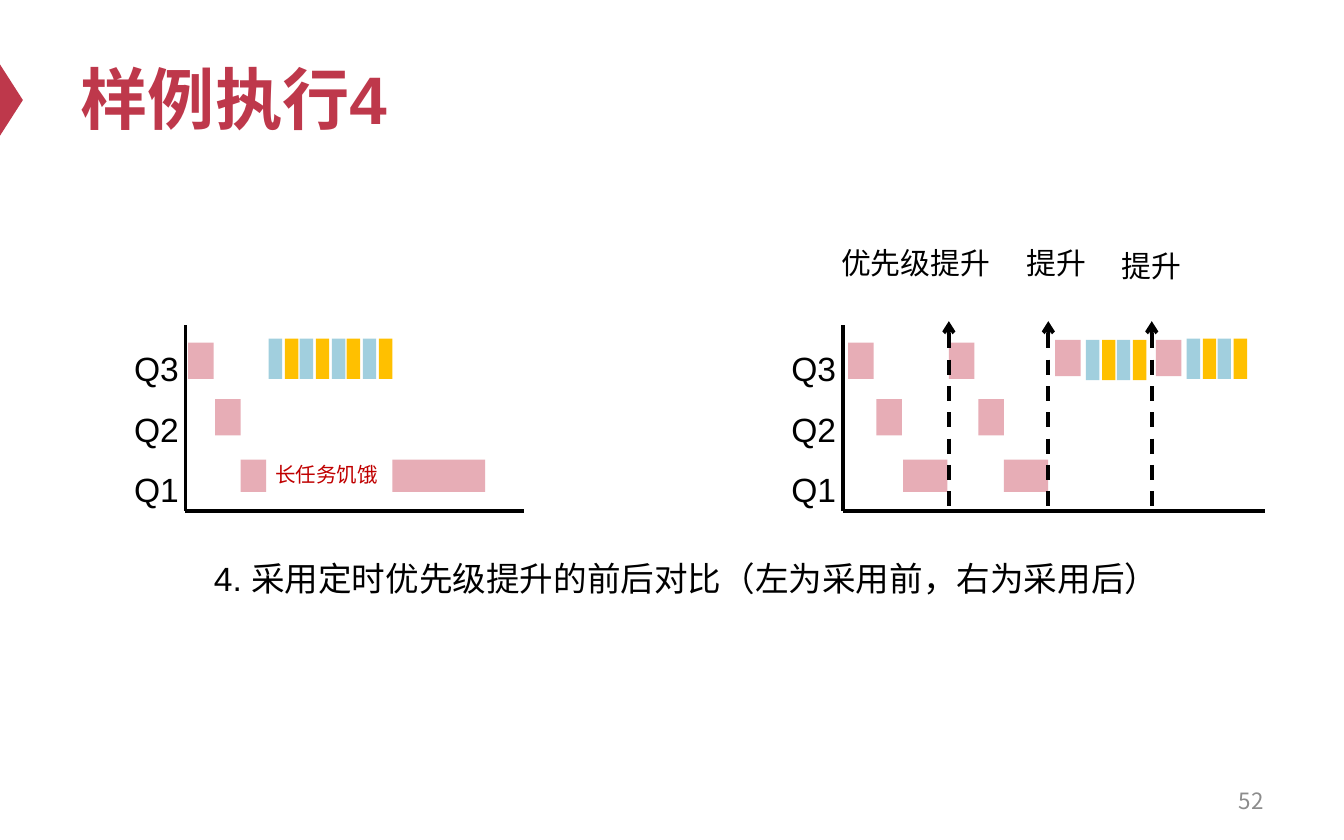
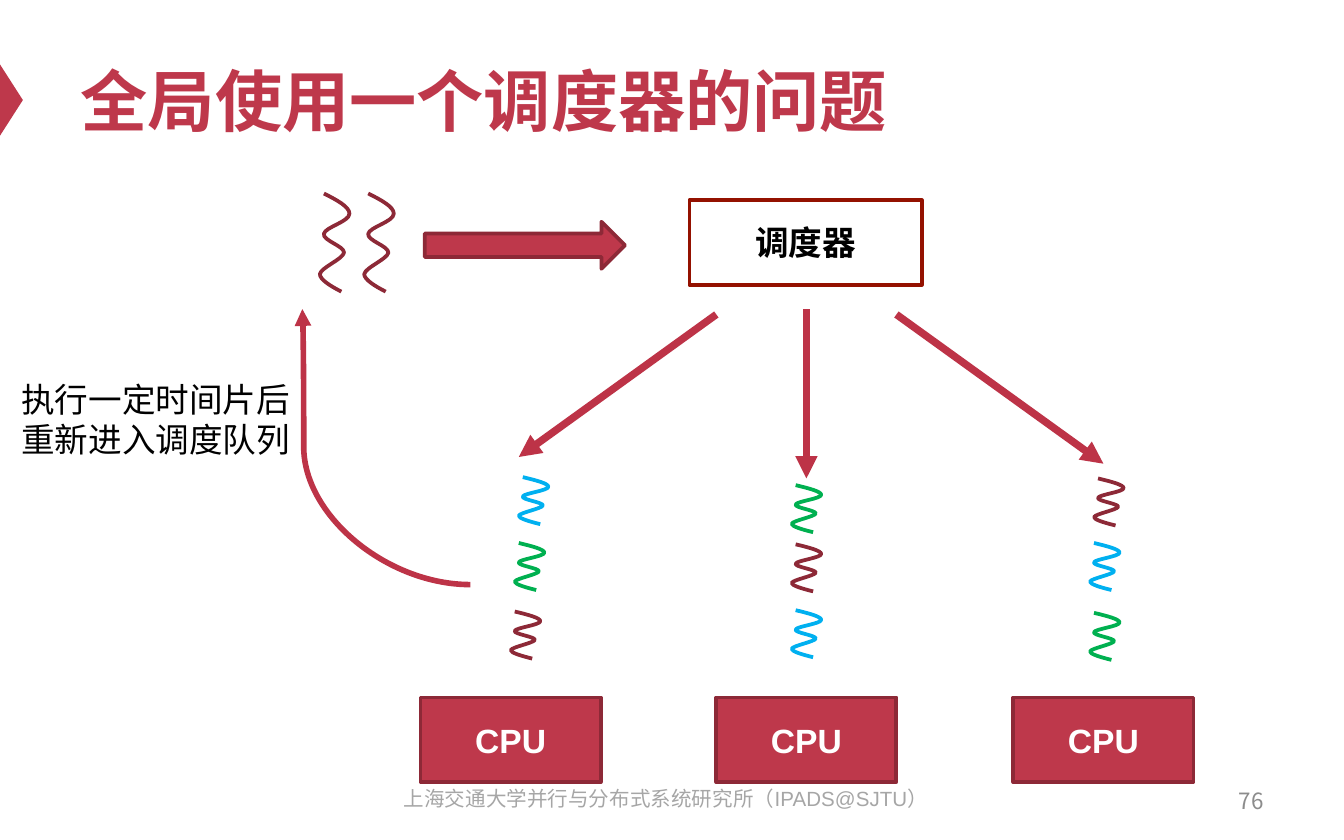
from dataclasses import dataclass

from lxml import etree
from pptx import Presentation
from pptx.dml.color import RGBColor
from pptx.enum.dml import MSO_LINE
from pptx.enum.shapes import MSO_CONNECTOR, MSO_SHAPE
from pptx.enum.text import MSO_ANCHOR, MSO_AUTO_SIZE, PP_ALIGN
from pptx.oxml.ns import qn
from pptx.util import Pt

RECT, TRIANGLE, RIGHT_ARROW = MSO_SHAPE.RECTANGLE, MSO_SHAPE.ISOSCELES_TRIANGLE, MSO_SHAPE.RIGHT_ARROW
STRAIGHT, CURVE = MSO_CONNECTOR.STRAIGHT, MSO_CONNECTOR.CURVE
LEFT, CENTER, RIGHT = PP_ALIGN.LEFT, PP_ALIGN.CENTER, PP_ALIGN.RIGHT
TOP, MIDDLE = MSO_ANCHOR.TOP, MSO_ANCHOR.MIDDLE

EMU_PER_PX = 9144  # 100 px to the inch
TITLE_ONLY = 5


@dataclass(frozen=True)
class Theme:
    font: str = "Arial"
    cjk_font: str = "Noto Sans CJK SC"
    red: str = "BE384B"
    arrow_red: str = "BD3347"
    dark_red: str = "8D2937"
    frame_red: str = "941100"
    warning: str = "C00000"
    pink: str = "E7ADB6"
    pale_blue: str = "A1CFDE"
    gold: str = "FFC000"
    blue: str = "00B0F0"
    green: str = "00B050"
    black: str = "000000"
    white: str = "FFFFFF"
    page_grey: str = "8C8C8C"
    footer_grey: str = "A6A6A6"
    title_size: int = 36
    body_size: int = 18
    label_size: int = 16
    page_size: int = 12
    small_size: int = 11


THEME = Theme()

# Timeline rows: top inside the plot and bar height
ROWS = {"Q3": (13, 27), "Q3 boosted": (11, 27), "Q2": (55, 27), "Q1": (100, 24)}
SHORT_TASK_PITCH = 11.7

# Thread curve in a 22 x 73 box: two control points and a knot per bend
THREAD_START = (3, 0)
THREAD_BENDS = [
    ((13, 5), (22, 10), (22, 15)),
    ((22, 21), (4, 25), (3, 30)),
    ((2, 35), (18, 39), (18, 44)),
    ((17, 49), (1, 55), (0, 60)),
    ((0, 64), (8, 69), (16, 73)),
]
THREAD_HEIGHT = 73


def px(*lengths):
    return [round(length * EMU_PER_PX) for length in lengths]


def rgb(color):
    return RGBColor.from_string(color)


# Basic parts
def write(frame, lines, size, color, bold=False, align=LEFT, anchor=TOP,
          spacing=None, font=THEME.font):
    frame.word_wrap = True
    frame.vertical_anchor = anchor
    frame.text = "\n".join(lines)
    for paragraph in frame.paragraphs:
        paragraph.alignment = align
        if spacing:
            paragraph.line_spacing = spacing
        paragraph.font.size = Pt(size)
        paragraph.font.bold = bold
        paragraph.font.color.rgb = rgb(color)
        paragraph.font.name = font
        etree.SubElement(paragraph.font._rPr, qn("a:ea"), typeface=THEME.cjk_font)


def add_text(slide, box, lines, size, color=THEME.black, grow=False, **style):
    frame = slide.shapes.add_textbox(*px(*box)).text_frame
    write(frame, lines, size, color, **style)
    if grow:
        frame.auto_size = MSO_AUTO_SIZE.SHAPE_TO_FIT_TEXT


def add_block(slide, kind, box, fill, outline=None):
    block = slide.shapes.add_shape(kind, *px(*box))
    block.shadow.inherit = False
    block.fill.solid()
    block.fill.fore_color.rgb = rgb(fill)
    if outline:
        block.line.color.rgb = rgb(outline)
        block.line.width = Pt(2)
    else:
        block.line.fill.background()
    return block


def add_line(slide, start, end, color, width, kind=STRAIGHT, dash=None, **arrowheads):
    connector = slide.shapes.add_connector(kind, *px(*start, *end))
    connector.line.color.rgb = rgb(color)
    connector.line.width = Pt(width)
    if dash:
        connector.line.dash_style = dash
    outline = connector.line._get_or_add_ln()
    for side, arrowhead in arrowheads.items():
        etree.SubElement(outline, qn(f"a:{side}"), type=arrowhead)
    etree.SubElement(connector.element.spPr, qn("a:effectLst"))
    return connector


def add_thread(slide, left, top, height, color):
    scale = (EMU_PER_PX, EMU_PER_PX * height / THREAD_HEIGHT)
    outline = slide.shapes.build_freeform(*THREAD_START, scale=scale)
    outline.add_line_segments([knot for _, _, knot in THREAD_BENDS], close=False)
    thread = outline.convert_to_shape(*px(left, top))
    # Turn each straight segment into a Bézier bend
    segments = list(thread.element.iter(qn("a:lnTo")))
    for segment, (*controls, _) in zip(segments, THREAD_BENDS):
        segment.tag = qn("a:cubicBezTo")
        for index, (x, y) in enumerate(controls):
            segment.insert(index, etree.Element(qn("a:pt"), x=str(x), y=str(y)))
    thread.shadow.inherit = False
    thread.fill.background()
    thread.line.color.rgb = rgb(color)
    thread.line.width = Pt(2)


# Shared slide furniture
def add_master_marker(prs, slide):
    marker = add_block(slide, TRIANGLE, (-18, 66, 53, 17), THEME.red)
    marker.rotation = 90
    marker.element.nvSpPr.cNvPr.set("id", "100")
    prs.slide_master.shapes.element.append(marker.element)


def add_slide(prs, title, title_top, title_height, page):
    slide = prs.slides.add_slide(prs.slide_layouts[TITLE_ONLY])
    heading = slide.shapes.title
    heading.left, heading.top, heading.width, heading.height = px(50, title_top, 900, title_height)
    write(heading.text_frame, [title], THEME.title_size, THEME.red, bold=True, anchor=MIDDLE)
    add_text(slide, (717, 579, 233, 33), [page], THEME.page_size, THEME.page_grey,
             align=RIGHT, anchor=MIDDLE, font=THEME.cjk_font)
    return slide


# Queue timeline: axes, long-task bars and runs of short tasks
def add_timeline(slide, box, long_tasks, short_runs):
    left, top, width, height = box
    add_text(slide, (left - 48, top - 3, 60, 141), ["Q3", "Q2", "Q1"], THEME.body_size,
             spacing=1.5, grow=True)
    origin = (left, top + height)
    add_line(slide, (left, top), origin, THEME.black, 2)
    add_line(slide, origin, (left + width, top + height), THEME.black, 2)
    for row, start, length in long_tasks:
        row_top, bar_height = ROWS[row]
        add_block(slide, RECT, (left + start, top + row_top, length, bar_height), THEME.pink)
    for start, run_top, count in short_runs:
        for index in range(count):
            color = THEME.gold if index % 2 else THEME.pale_blue
            x = left + start + round(index * SHORT_TASK_PITCH)
            add_block(slide, RECT, (x, top + run_top, 10, 30), color)


def add_boosts(slide, box, boosts):
    left, top, _, height = box
    for line_x, label, label_x, label_y, label_width in boosts:
        add_line(slide, (left + line_x, top - 3), (left + line_x, top + height),
                 THEME.black, 2, dash=MSO_LINE.DASH, headEnd="arrow")
        add_text(slide, (left + label_x, top + label_y, label_width, 37), [label],
                 THEME.label_size, grow=True)


def build_boost_slide(prs):
    slide = add_slide(prs, "样例执行4", 21, 104, "52")
    add_master_marker(prs, slide)
    before, after = (138, 242, 252, 138), (627, 242, 314, 138)
    add_timeline(slide, before,
                 [("Q3", 2, 19), ("Q2", 22, 19), ("Q1", 41, 19), ("Q1", 154, 69)],
                 [(62, 10, 8)])
    add_text(slide, (195, 339, 510, 29), ["长任务饥饿"], THEME.small_size, THEME.warning, grow=True)
    add_timeline(slide, after,
                 [("Q3", 4, 19), ("Q2", 25, 19), ("Q1", 45, 33),
                  ("Q3", 79, 19), ("Q2", 101, 19), ("Q1", 120, 33),
                  ("Q3 boosted", 158, 19), ("Q3 boosted", 233, 19)],
                 [(181, 11, 4), (256, 10, 4)])
    add_boosts(slide, after, [(79, "优先级提升", -11, -65, 136),
                              (153, "提升", 127, -65, 74),
                              (230, "提升", 198, -63, 74)])
    add_text(slide, (139, 404, 743, 70), ["4. 采用定时优先级提升的前后对比（左为采用前，右为采用后）"],
             THEME.body_size, align=CENTER, spacing=1.2)


# Scheduler diagram
def add_labelled_block(slide, box, label, fill, outline, color):
    block = add_block(slide, RECT, box, fill, outline)
    write(block.text_frame, [label], THEME.body_size, color, bold=True,
          align=CENTER, anchor=MIDDLE)


def add_scheduler(slide, left, top):
    for offset in (0, 33):
        add_thread(slide, left + offset, top, THREAD_HEIGHT, THEME.dark_red)
    add_block(slide, RIGHT_ARROW, (left + 78, top + 21, 149, 35), THEME.red, THEME.dark_red)
    add_labelled_block(slide, (left + 275, top + 5, 173, 63), "调度器",
                       THEME.white, THEME.frame_red, THEME.black)


def add_cpu_column(slide, left, top, threads):
    for x, y, color in threads:
        add_thread(slide, left + x, top + y, 35, color)
    add_labelled_block(slide, (left, top + 164, 134, 63), "CPU",
                       THEME.red, THEME.dark_red, THEME.white)


def add_requeue(slide, left, top):
    loop = add_line(slide, (left + 344, top + 158), (left + 219, top - 47),
                    THEME.arrow_red, 3, kind=CURVE, tailEnd="triangle")
    geometry = loop.element.spPr.find(qn("a:prstGeom"))
    adjustments = geometry.find(qn("a:avLst"))
    etree.SubElement(adjustments, qn("a:gd"), name="adj1", fmla="val 99200")
    add_text(slide, (left, top, 249, 71), ["执行一定时间片后", "重新进入调度队列"],
             THEME.body_size, grow=True)


def build_scheduler_slide(prs):
    slide = add_slide(prs, "全局使用一个调度器的问题", 25, 98, "76")
    red, blue, green = THEME.dark_red, THEME.blue, THEME.green
    add_scheduler(slide, 238, 144)
    for cpu_end, scheduler_end in [((386, 340), (533, 234)),
                                   ((600, 356), (600, 230)),
                                   ((821, 345), (667, 234))]:
        add_line(slide, cpu_end, scheduler_end, THEME.arrow_red, 4, headEnd="triangle")
    columns = [
        [(73, 0, blue), (70, 49, green), (67, 100, red)],
        [(56, 6, green), (56, 50, red), (56, 99, blue)],
        [(60, 1, red), (57, 49, blue), (57, 101, green)],
    ]
    for index, threads in enumerate(columns):
        add_cpu_column(slide, 313 + round(index * 220.4), 355, threads)
    add_requeue(slide, 6, 277)
    add_text(slide, (279, 580, 433, 33), ["上海交通大学并行与分布式系统研究所（IPADS@SJTU）"],
             THEME.small_size, THEME.footer_grey, align=CENTER)


def main():
    prs = Presentation()
    prs.slide_width, prs.slide_height = px(1000, 625)
    build_boost_slide(prs)
    build_scheduler_slide(prs)
    prs.save("out.pptx")


if __name__ == "__main__":
    main()
